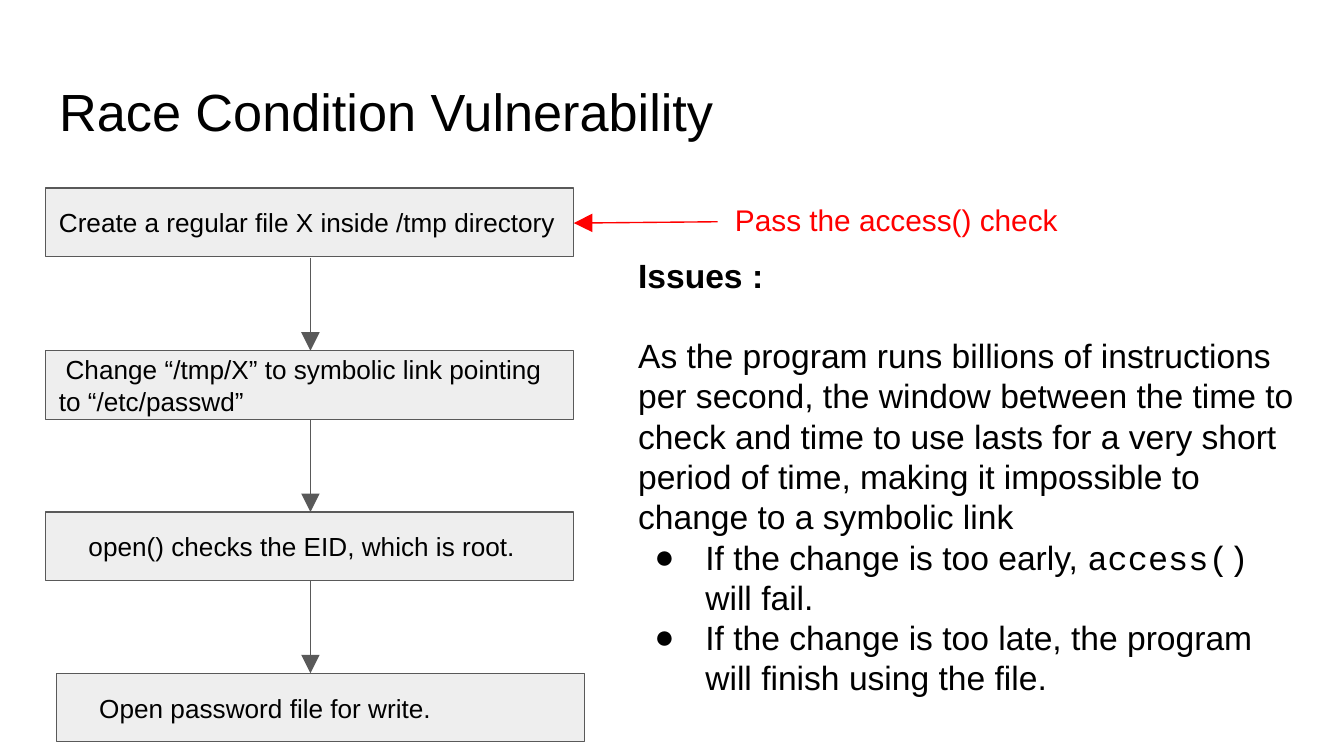
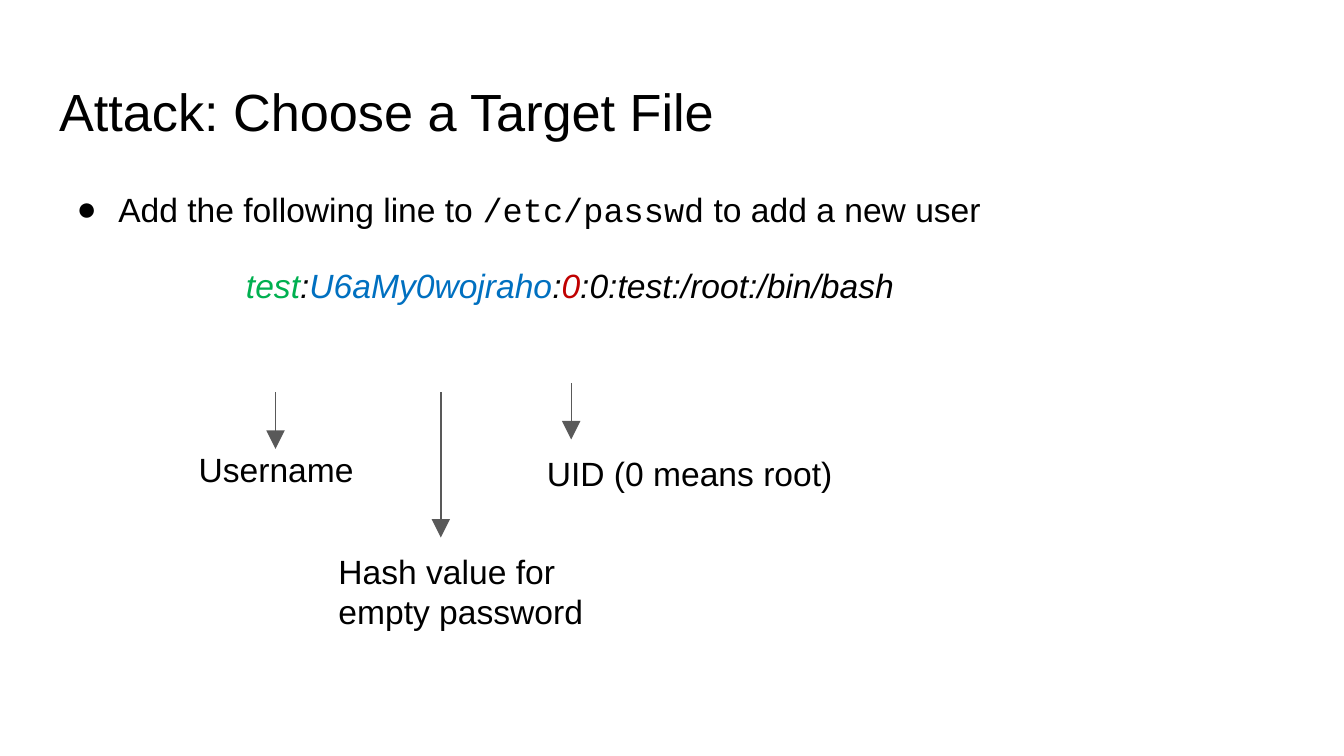
from lxml import etree
from pptx import Presentation
from pptx.dml.color import RGBColor
from pptx.enum.shapes import MSO_CONNECTOR as CONN, MSO_SHAPE as SHAPE
from pptx.enum.text import MSO_ANCHOR as ANCHOR, MSO_AUTO_SIZE as AUTO, PP_ALIGN as ALIGN
from pptx.oxml.ns import qn
from pptx.util import Pt

PX = 9144  # 100 px to the inch
BLACK, GREY, PALE, RED = "000000", "595959", "EEEEEE", "FF0000"
GREEN, BLUE, DARK_RED = "00B050", "0070C0", "C00000"
SANS, MONO = "Arial", "Courier New"
rgb = RGBColor.from_string


def write(sp, paras, size=18, color=BLACK, anchor=ANCHOR.TOP):
    """Fill sp with paragraphs, each (runs, options); a run is (text, font options)."""
    tf = sp.text_frame
    for name, value in {"word_wrap": True, "auto_size": AUTO.NONE, "vertical_anchor": anchor,
                        "margin_left": 10 * PX, "margin_right": 10 * PX,
                        "margin_top": 10 * PX, "margin_bottom": 10 * PX}.items():
        setattr(tf, name, value)
    for i, (runs, opts) in enumerate(paras):
        p = tf.add_paragraph() if i else tf.paragraphs[0]
        for name, value in {"alignment": ALIGN.LEFT, "space_before": Pt(0),
                            "space_after": Pt(opts.get("after", 0)),
                            "line_spacing": opts.get("spacing", 1.0)}.items():
            setattr(p, name, value)
        ppr = p._p.get_or_add_pPr()
        ppr.set("marL", str(opts.get("left", 0) * PX))
        ppr.set("indent", str(opts.get("indent", 0) * PX))
        if opts.get("bullet"):
            clr = etree.SubElement(ppr, qn("a:buClr"))
            etree.SubElement(clr, qn("a:srgbClr"), val=BLACK)
            etree.SubElement(ppr, qn("a:buFont"), typeface=SANS)
            etree.SubElement(ppr, qn("a:buChar"), char="●")
        else:
            etree.SubElement(ppr, qn("a:buNone"))
        for text, font in runs:
            r = p.add_run()
            r.text = text
            r.font.color.rgb = rgb(font.get("color", color))
            for name, value in {"name": font.get("name", SANS), "size": Pt(size),
                                "bold": font.get("bold", False),
                                "italic": font.get("italic", False)}.items():
                setattr(r.font, name, value)


def arrow(s, x1, y1, x2, y2, color=GREY):
    line = s.shapes.add_connector(CONN.STRAIGHT, x1 * PX, y1 * PX, x2 * PX, y2 * PX)
    line.line.color.rgb = rgb(color)
    line.line.width = Pt(0.75)
    etree.SubElement(line.line._get_or_add_ln(), qn("a:tailEnd"),
                     type="triangle", w="lg", len="lg")
    etree.SubElement(line._element.spPr, qn("a:effectLst"))


prs = Presentation()
prs.slide_width, prs.slide_height = 1000 * PX, 1000 * PX * 9 // 16
TITLE_CONTENT, TITLE_ONLY = prs.slide_layouts[1], prs.slide_layouts[5]

slides = []
for layout, title in [(TITLE_ONLY, "Race Condition Vulnerability"),
                      (TITLE_CONTENT, "Attack: Choose a Target File")]:
    s = prs.slides.add_slide(layout)
    sp = s.shapes.title
    sp.left, sp.top, sp.width, sp.height = 34 * PX, 49 * PX, 932 * PX, 63 * PX
    write(sp, [([(title, {})], {})], size=28)
    slides.append(s)
race, attack = slides

# Race condition: a column of steps joined by arrows
STEP_W, STEP_H, STEP_TOP, PITCH = 393, 51, 140, 120
steps = [
    (34, "Create a regular file X inside /tmp directory", {}),
    (34, "Change “/tmp/X” to symbolic link pointing to “/etc/passwd”", {"indent": 5}),
    (34, "open() checks the EID, which is root.", {"left": 22}),
    (42, "Open password file for write.", {"left": 22}),
]
for i, (x, text, opts) in enumerate(steps):
    y = STEP_TOP + i * PITCH + (i > 0)
    sp = race.shapes.add_shape(SHAPE.RECTANGLE, x * PX, y * PX, STEP_W * PX, STEP_H * PX)
    sp.shadow.inherit = False
    sp.fill.solid()
    sp.fill.fore_color.rgb = rgb(PALE)
    sp.line.color.rgb = rgb(GREY)
    sp.line.width = Pt(0.75)
    write(sp, [([(text, {})], opts)], size=14, anchor=ANCHOR.MIDDLE)
    if i:
        arrow(race, 231, y - PITCH + STEP_H, 231, y)

arrow(race, 534, 165, 427, 166, RED)
sp = race.shapes.add_textbox(537 * PX, 140 * PX, 261 * PX, 51 * PX)
write(sp, [([("Pass the access() check", {})], {})], size=16, color=RED)

bullet = {"left": 50, "indent": -38, "bullet": True}
sp = race.shapes.add_textbox(465 * PX, 180 * PX, 510 * PX, 366 * PX)
write(sp, [
    ([("Issues :", {"bold": True})], {"after": 21}),
    ([("As the program runs billions of instructions per second, the window between "
       "the time to check and time to use lasts for a very short period of time, "
       "making it impossible to change to a symbolic link", {})], {}),
    ([("If the change is too early, ", {}), ("access() ", {"name": MONO}),
      ("will fail.", {})], bullet),
    ([("If the change is too late, the program will finish using the file.", {})], bullet),
])

# Attack: the new password line and the meaning of its fields
body = attack.placeholders[1]
body.left, body.top, body.width, body.height = 34 * PX, 126 * PX, 932 * PX, 374 * PX
loose = {"spacing": 1.15, "after": 16}
entry = [("test", GREEN), (":", BLACK), ("U6aMy0wojraho", BLUE), (":", BLACK),
         ("0", DARK_RED), (":0:test:/root:/bin/bash", BLACK)]
write(body, [
    ([("Add the following line to ", {}), ("/etc/passwd", {"name": MONO}),
      (" to add a new user", {})], {**loose, "left": 44, "indent": -31, "bullet": True}),
    ([(text, {"color": c, "italic": True}) for text, c in entry], {**loose, "left": 139}),
])

for x, top, bottom in [(205, 292, 334), (328, 292, 400), (425, 285, 327)]:
    arrow(attack, x, top, x, bottom)

for x, y, w, h, text, left in [
    (133, 324, 145, 48, "Username", 5),
    (242, 400, 230, 35, "Hash value for empty password", 0),
    (349, 327, 295, 35, "UID (0 means root)", 48),
]:
    sp = attack.shapes.add_textbox(x * PX, y * PX, w * PX, h * PX)
    write(sp, [([(text, {})], {"left": left})])

prs.save("out.pptx")
